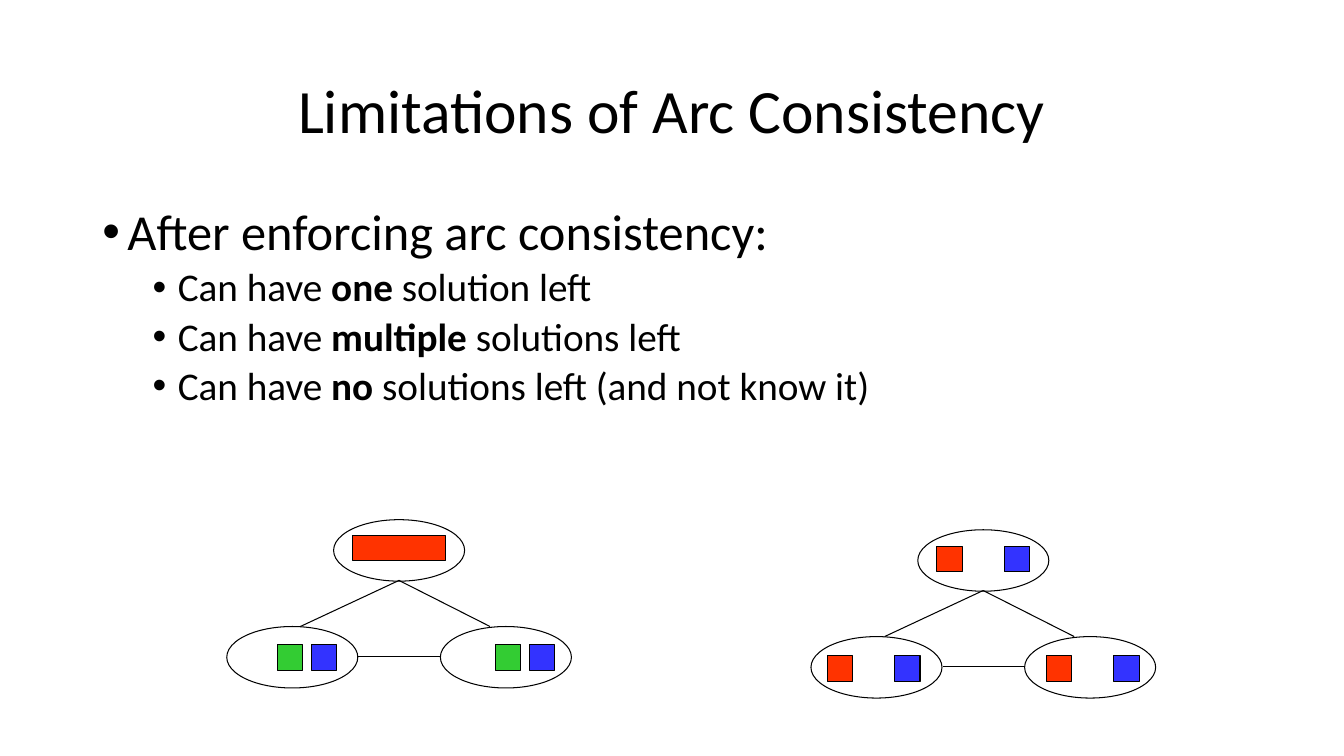
import dataclasses
import typing

import lxml.etree
import pptx
import pptx.dml.color
import pptx.enum.shapes
import pptx.enum.text
import pptx.oxml.ns
import pptx.util

Pt = pptx.util.Pt
SHAPE = pptx.enum.shapes.MSO_SHAPE
ALIGN = pptx.enum.text.PP_ALIGN
ANCHOR = pptx.enum.text.MSO_ANCHOR

COLOURS = {
    "ink": "000000",
    "red": "FF3300",
    "green": "33CC33",
    "blue": "3333FF",
}
NODE_SIZE = (93.6, 43.9)
NODES = [(76.3, 0), (152.6, 76.3), (0, 76.3)]
ARCS = [(123, 43.4, 52.6, 76.3), (123, 43.4, 188, 76.3), (94, 98, 152.6, 98)]
VALUE_SIDE = 18.2


@dataclasses.dataclass
class Value:
    left: float
    top: float
    colour: str
    width: float = VALUE_SIDE


@dataclasses.dataclass
class Network:
    left: float
    top: float
    values: list[Value]


@dataclasses.dataclass
class Line:
    runs: list[tuple[str, bool]]
    size: float
    before: float = 0
    align: typing.Any = ALIGN.LEFT
    indent: float | None = None


def apply(target: typing.Any, formats: dict[str, typing.Any]) -> None:
    for name, setting in formats.items():
        setattr(target, name, setting)


def rgb(name: str) -> pptx.dml.color.RGBColor:
    return pptx.dml.color.RGBColor.from_string(COLOURS[name])


def add_bullet(paragraph: typing.Any, indent: float) -> None:
    properties = paragraph._p.get_or_add_pPr()
    properties.set("marL", str(Pt(indent)))
    properties.set("indent", str(Pt(-18)))
    font = lxml.etree.SubElement(properties, pptx.oxml.ns.qn("a:buFont"))
    font.set("typeface", "Arial")
    bullet = lxml.etree.SubElement(properties, pptx.oxml.ns.qn("a:buChar"))
    bullet.set("char", "•")


def add_text(slide: typing.Any, top: float, height: float, anchor: typing.Any,
             lines: list[Line]) -> None:
    frame = slide.shapes.add_textbox(Pt(66), Pt(top), Pt(828), Pt(height)).text_frame
    apply(frame, {"word_wrap": True, "vertical_anchor": anchor})
    for index, line in enumerate(lines):
        paragraph = frame.add_paragraph() if index else frame.paragraphs[0]
        apply(paragraph, {
            "alignment": line.align,
            "line_spacing": 0.9,
            "space_before": Pt(line.before),
        })
        if line.indent is not None:
            add_bullet(paragraph, line.indent)
        for words, bold in line.runs:
            run = paragraph.add_run()
            run.text = words
            apply(run.font, {"name": "Calibri", "size": Pt(line.size), "bold": bold})
            run.font.color.rgb = rgb("ink")


def outline(part: typing.Any) -> None:
    part.line.color.rgb = rgb("ink")
    part.line.width = Pt(0.75)


def add_outlined(shapes: typing.Any, kind: typing.Any, left: float, top: float,
                 width: float, height: float, colour: str | None = None) -> None:
    shape = shapes.add_shape(kind, Pt(left), Pt(top), Pt(width), Pt(height))
    shape.shadow.inherit = False
    outline(shape)
    if colour:
        shape.fill.solid()
        shape.fill.fore_color.rgb = rgb(colour)
    else:
        shape.fill.background()


def add_arc(shapes: typing.Any, x1: float, y1: float, x2: float, y2: float) -> None:
    arc = shapes.add_connector(
        pptx.enum.shapes.MSO_CONNECTOR.STRAIGHT, Pt(x1), Pt(y1), Pt(x2), Pt(y2))
    outline(arc)
    lxml.etree.SubElement(arc._element.spPr, pptx.oxml.ns.qn("a:effectLst"))


def add_network(slide: typing.Any, network: Network) -> None:
    x, y = network.left, network.top
    graph = slide.shapes.add_group_shape().shapes
    for left, top in NODES:
        add_outlined(graph, SHAPE.OVAL, x + left, y + top, *NODE_SIZE)
    for x1, y1, x2, y2 in ARCS:
        add_arc(graph, x + x1, y + y1, x + x2, y + y2)
    for value in network.values:
        add_outlined(slide.shapes, SHAPE.RECTANGLE, x + value.left, y + value.top,
                     value.width, VALUE_SIDE, value.colour)


TITLE = [Line([("Limitations of Arc Consistency", False)], 44, align=ALIGN.CENTER)]
OUTCOMES = [
    ("one", " solution left"),
    ("multiple", " solutions left"),
    ("no", " solutions left (and not know it)"),
]
BODY = [Line([("After enforcing arc consistency:", False)], 36, 10, indent=18)] + [
    Line([("Can have ", False), (count, True), (rest, False)], 28, 5, indent=54)
    for count, rest in OUTCOMES
]
NETWORKS = [
    Network(162, 371.2, [
        Value(90, 11.2, "red", 66.2),
        Value(36, 89.3, "green"),
        Value(60.3, 89.3, "blue"),
        Value(192, 89.3, "green"),
        Value(216, 89.3, "blue"),
    ]),
    Network(579.3, 378.4, [
        Value(left + shift, top, colour)
        for left, top in [(90, 11.9), (11.5, 90), (168, 90)]
        for shift, colour in [(0, "red"), (48.2, "blue")]
    ]),
]


def main() -> None:
    deck = pptx.Presentation()
    apply(deck, {"slide_width": Pt(960), "slide_height": Pt(540)})
    slide = deck.slides.add_slide(deck.slide_layouts[6])
    add_text(slide, 28.8, 104.4, ANCHOR.MIDDLE, TITLE)
    add_text(slide, 144, 380.9, ANCHOR.TOP, BODY)
    for network in NETWORKS:
        add_network(slide, network)
    deck.save("out.pptx")


if __name__ == "__main__":
    main()
